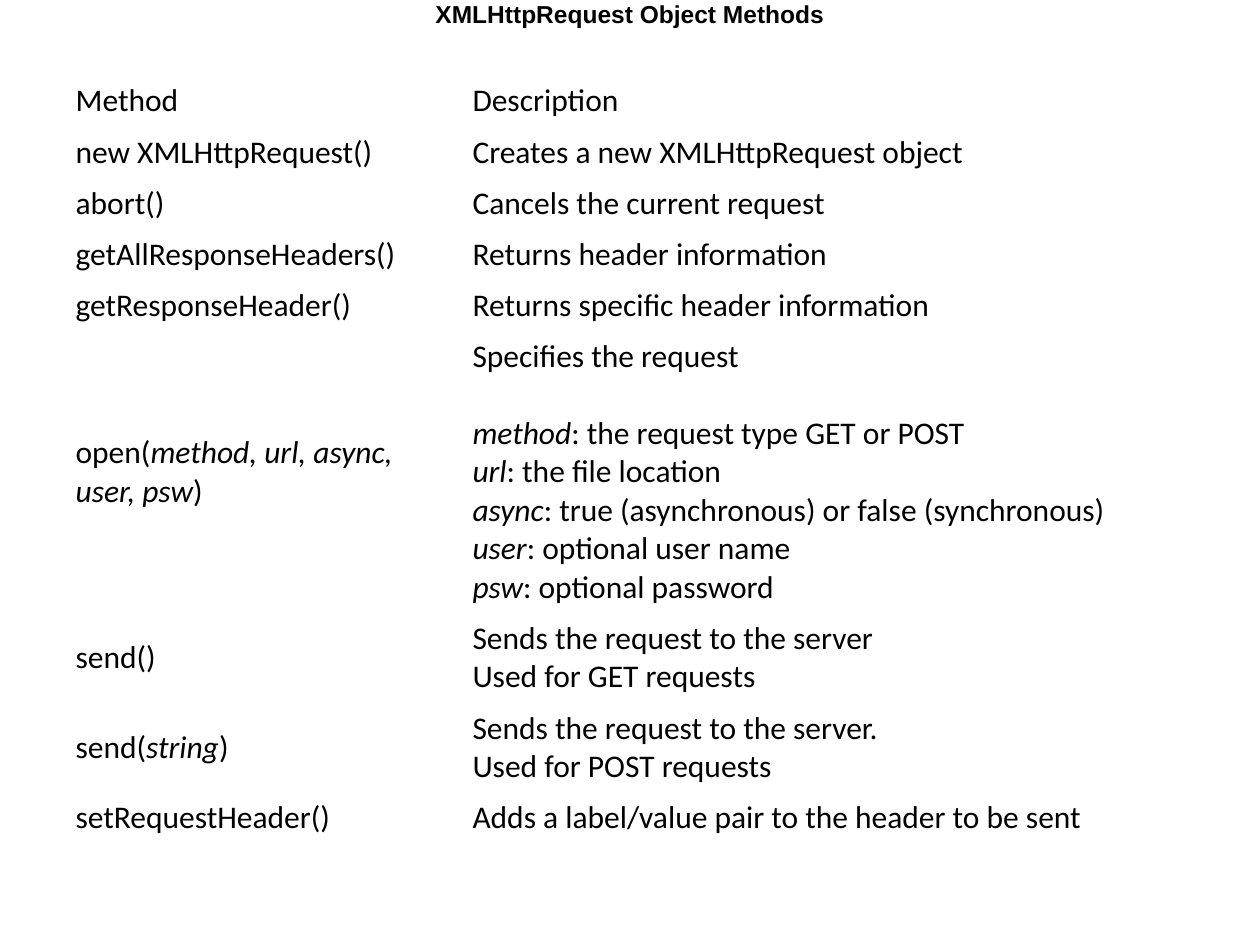
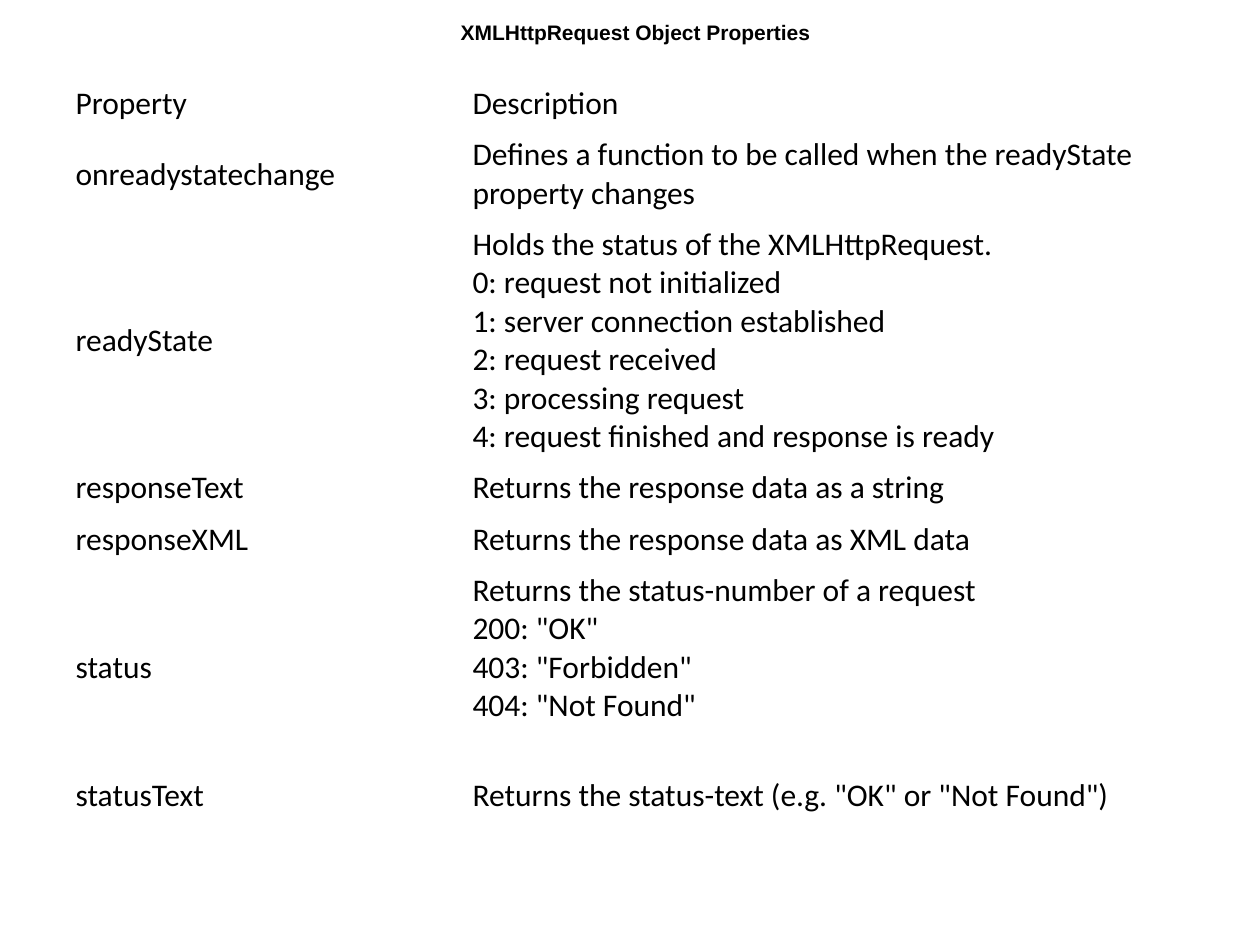
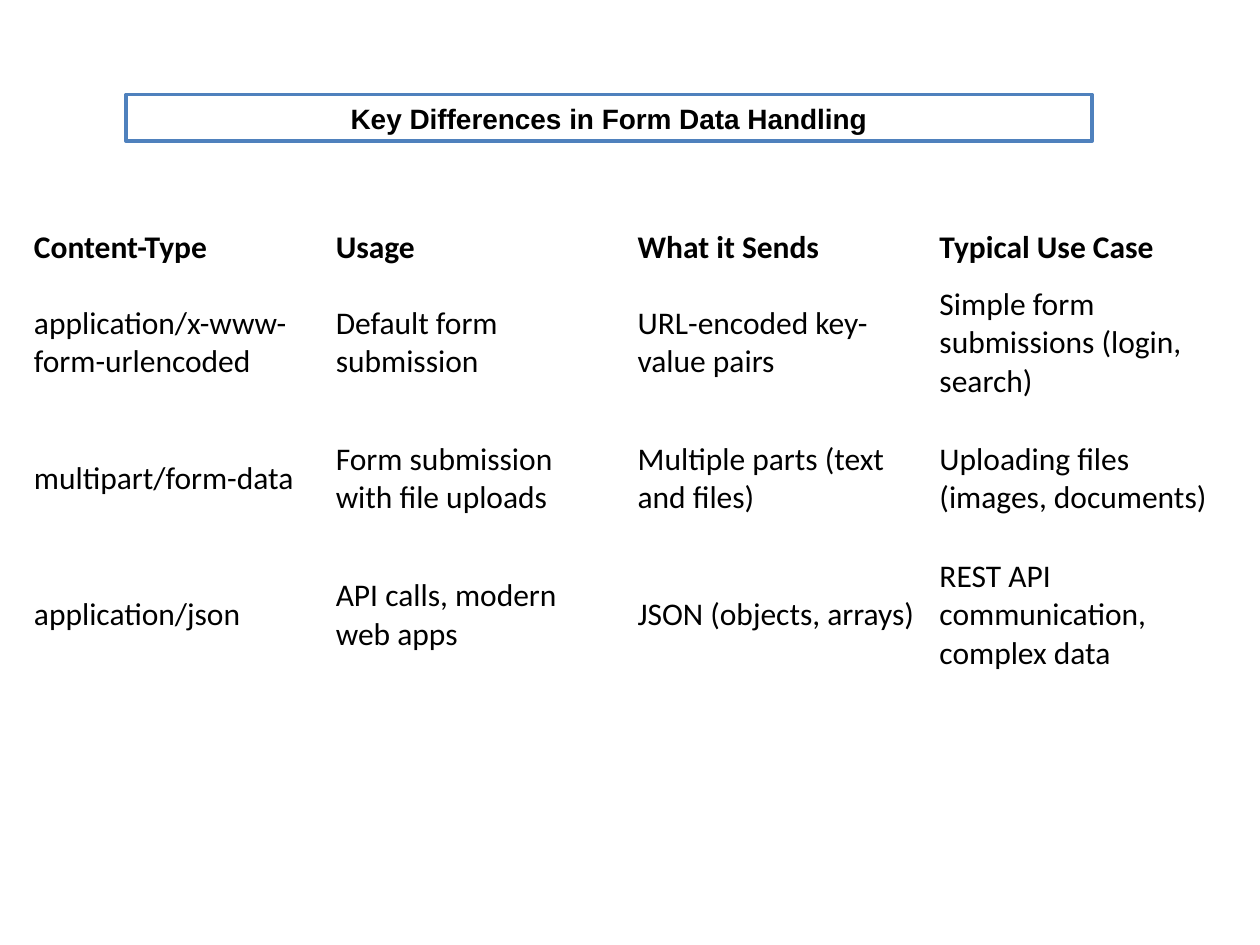
from dataclasses import dataclass

from pptx import Presentation
from pptx.dml.color import RGBColor
from pptx.enum.shapes import MSO_SHAPE
from pptx.enum.text import MSO_ANCHOR, PP_ALIGN
from pptx.util import Pt

RECT = MSO_SHAPE.RECTANGLE
MIDDLE = MSO_ANCHOR.MIDDLE
CENTER = PP_ALIGN.CENTER


@dataclass(frozen=True)
class Theme:
    ink: RGBColor = RGBColor(0x00, 0x00, 0x00)
    paper: RGBColor = RGBColor(0xFF, 0xFF, 0xFF)
    accent: RGBColor = RGBColor(0x4F, 0x81, 0xBD)
    title_font: str = "Arial"
    body_font: str = "Calibri"
    body_size: int = 18
    line: float = 22     # height of one body line
    inset: float = 3.6   # space above and below text


T = Theme()

METHODS = [
    ("Method", "Description", 1),
    ("new XMLHttpRequest()", "Creates a new XMLHttpRequest object", 1),
    ("abort()", "Cancels the current request", 1),
    ("getAllResponseHeaders()", "Returns header information", 1),
    ("getResponseHeader()", "Returns specific header information", 1),
    ("open(*method, url, async, user, psw*)",
     "Specifies the request\n\n"
     "*method*: the request type GET or POST\n"
     "*url*: the file location\n"
     "*async*: true (asynchronous) or false (synchronous)\n"
     "*user*: optional user name\n"
     "*psw*: optional password", 7),
    ("send()", "Sends the request to the server\nUsed for GET requests", 2),
    ("send(*string*)", "Sends the request to the server.\nUsed for POST requests", 2),
    ("setRequestHeader()", "Adds a label/value pair to the header to be sent", 1),
]

PROPERTIES = [
    ("Property", "Description", 1),
    ("onreadystatechange",
     "Defines a function to be called when the readyState property changes", 2),
    ("readyState",
     "Holds the status of the XMLHttpRequest.\n"
     "0: request not initialized\n"
     "1: server connection established\n"
     "2: request received\n"
     "3: processing request\n"
     "4: request finished and response is ready", 6),
    ("responseText", "Returns the response data as a string", 1),
    ("responseXML", "Returns the response data as XML data", 1),
    ("status",
     "Returns the status-number of a request\n"
     '200: "OK"\n403: "Forbidden"\n404: "Not Found"\n', 5),
    ("statusText", 'Returns the status-text (e.g. "OK" or "Not Found")', 1),
]

CONTENT_TYPES = [
    ("Content-Type", "Usage", "What it Sends", "Typical Use Case"),
    ("application/x-www-form-urlencoded", "Default form submission",
     "URL-encoded key-value pairs", "Simple form submissions (login, search)"),
    ("multipart/form-data", "Form submission with file uploads",
     "Multiple parts (text and files)", "Uploading files (images, documents)"),
    ("application/json", "API calls, modern web apps",
     "JSON (objects, arrays)", "REST API communication, complex data"),
]


def style(font, name, size, bold=False, italic=False):
    font.name, font.size = name, Pt(size)
    font.bold, font.italic = bold, italic
    font.color.rgb = T.ink


def title(sp, text, size, gap_below=0):
    """Centre a bold heading in sp, leaving gap_below free under it."""
    tf = sp.text_frame
    tf.text = text
    tf.vertical_anchor = MIDDLE
    tf.margin_bottom = Pt(T.inset + gap_below)
    p = tf.paragraphs[0]
    p.alignment = CENTER
    style(p.runs[0].font, T.title_font, size, bold=True)


def fill_cell(cell, text, bold):
    """One paragraph a line; an empty line is a gap, and *stars* mark italics."""
    cell.fill.background()
    cell.vertical_anchor = MIDDLE
    p, gap = None, 0
    for line in text.split("\n"):
        if not line:
            gap += T.line
            continue
        p = cell.text_frame.add_paragraph() if p else cell.text_frame.paragraphs[0]
        if gap:
            p.space_before = Pt(gap)
            gap = 0
        for i, part in enumerate(line.split("*")):
            if part:
                r = p.add_run()
                r.text = part
                style(r.font, T.body_font, T.body_size, bold, italic=i % 2 == 1)
    if gap:
        cell.margin_bottom = Pt(T.inset + gap)


def table(s, left, top, widths, heights, rows, bold_header=False):
    frame = s.shapes.add_table(len(rows), len(widths), Pt(left), Pt(top),
                               Pt(sum(widths)), Pt(sum(heights)))
    tbl = frame.table
    tbl.first_row = tbl.horz_banding = False
    for col, width in zip(tbl.columns, widths):
        col.width = Pt(width)
    for i, (row, height, texts) in enumerate(zip(tbl.rows, heights, rows)):
        row.height = Pt(height)
        for cell, text in zip(row.cells, texts):
            fill_cell(cell, text, bold_header and i == 0)


def reference_slide(s, heading, size, box, gap_below, top, entries):
    """Heading over a two-column list of names and descriptions."""
    heights = [lines * T.line + 2 * T.inset for *_, lines in entries]
    table(s, 36, top, [226.8, 421.2], heights, [e[:2] for e in entries])
    sp = s.shapes.add_textbox(*map(Pt, box))
    sp.text_frame.word_wrap = False
    title(sp, heading, size, gap_below)


def comparison_slide(s, heading, box, left, top, width, rows):
    """Framed heading over a table of equal columns."""
    cols = len(rows[0])
    heights = [31] + [77.8] * (len(rows) - 1)
    table(s, left, top, [width / cols] * cols, heights, rows, bold_header=True)
    # Framed heading
    sp = s.shapes.add_shape(RECT, *map(Pt, box))
    sp.shadow.inherit = False
    sp.fill.solid()
    sp.fill.fore_color.rgb = T.paper
    sp.line.color.rgb = T.accent
    sp.line.width = Pt(2)
    sp.text_frame.word_wrap = True
    title(sp, heading, 16)


def main():
    prs = Presentation()
    prs.slide_width, prs.slide_height = Pt(720), Pt(540)
    blank = prs.slide_layouts[6]
    reference_slide(prs.slides.add_slide(blank), "XMLHttpRequest Object Methods", 14,
                    (241.2, -5, 237.6, 46), 20, 43.2, METHODS)
    reference_slide(prs.slides.add_slide(blank), "XMLHttpRequest Object Properties", 12,
                    (254.9, 7.2, 216.7, 21.8), 0, 44.8, PROPERTIES)
    comparison_slide(prs.slides.add_slide(blank), "Key Differences in Form Data Handling",
                     (72, 54, 552, 26.7), 12.2, 126, 690, CONTENT_TYPES)
    prs.save("out.pptx")


if __name__ == "__main__":
    main()
